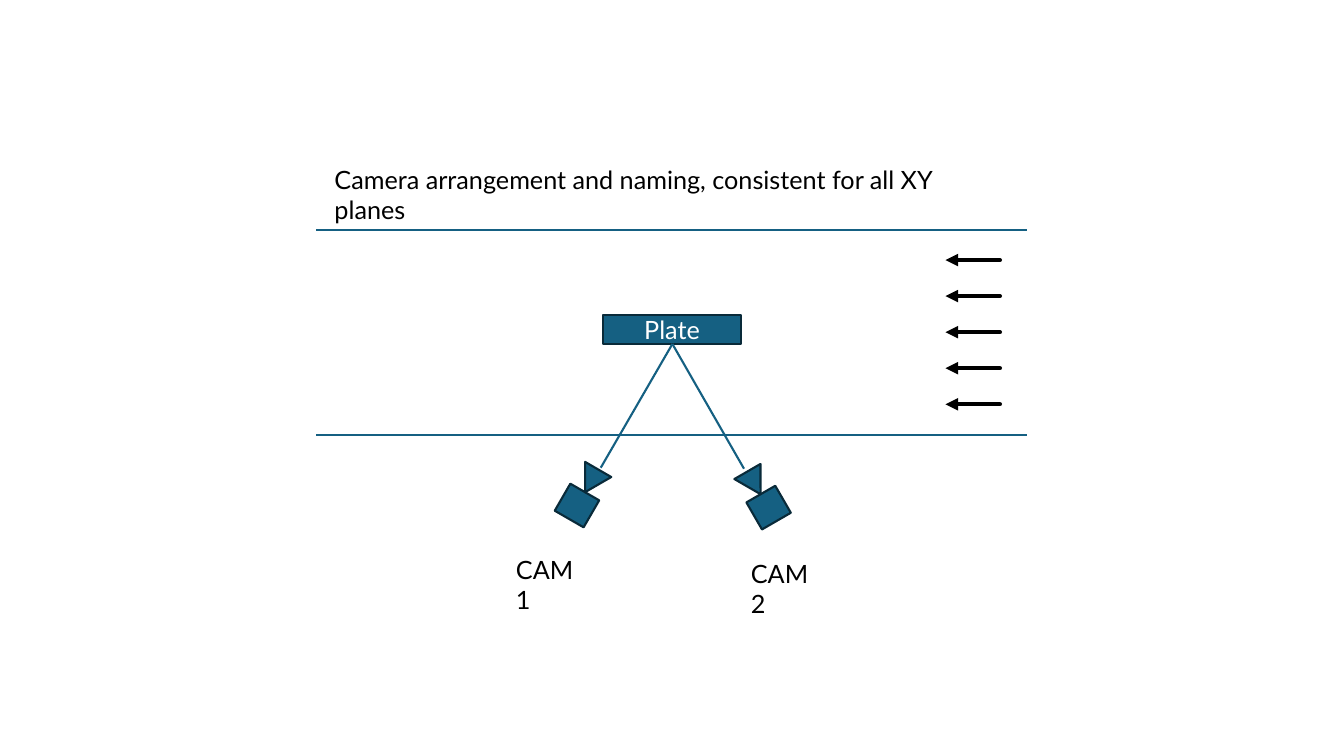
from dataclasses import dataclass

from lxml import etree
from pptx import Presentation
from pptx.dml.color import RGBColor
from pptx.enum.shapes import MSO_CONNECTOR, MSO_SHAPE
from pptx.enum.text import MSO_ANCHOR, MSO_AUTO_SIZE, PP_ALIGN
from pptx.oxml.ns import qn
from pptx.util import Inches, Pt

STRAIGHT = MSO_CONNECTOR.STRAIGHT
RECTANGLE = MSO_SHAPE.RECTANGLE
TRIANGLE = MSO_SHAPE.ISOSCELES_TRIANGLE
MIDDLE = MSO_ANCHOR.MIDDLE
FIT_TEXT = MSO_AUTO_SIZE.SHAPE_TO_FIT_TEXT
CENTER = PP_ALIGN.CENTER

COLUMNS = 100
ROWS = 100


@dataclass(frozen=True)
class Theme:
    font: str = "Lato"
    text_size: float = 18
    fill: RGBColor = RGBColor(0x15, 0x60, 0x82)
    outline: RGBColor = RGBColor(0x09, 0x2A, 0x39)
    ink: RGBColor = RGBColor(0, 0, 0)
    light: RGBColor = RGBColor(255, 255, 255)
    thin: float = 1.5
    thick: float = 3


class Diagram:
    def __init__(self, presentation, theme):
        self.theme = theme
        self.slide = presentation.slides.add_slide(presentation.slide_layouts[6])
        self.column = presentation.slide_width / COLUMNS
        self.row = presentation.slide_height / ROWS

    def place(self, x, y):
        return round(x * self.column), round(y * self.row)

    def line(self, start, end):
        connector = self.slide.shapes.add_connector(
            STRAIGHT, *self.place(*start), *self.place(*end))
        connector.line.color.rgb = self.theme.fill
        connector.line.width = Pt(self.theme.thin)
        etree.SubElement(connector._element.spPr, qn("a:effectLst"))
        return connector

    def arrow(self, tip, end):
        connector = self.line(tip, end)
        connector.line.color.rgb = self.theme.ink
        connector.line.width = Pt(self.theme.thick)
        outline = connector._element.spPr.find(qn("a:ln"))
        outline.set("cap", "rnd")
        etree.SubElement(outline, qn("a:headEnd"), type="triangle")

    def block(self, kind, center, size, rotation=0):
        width, height = size
        corner = center[0] - width / 2, center[1] - height / 2
        shape = self.slide.shapes.add_shape(
            kind, *self.place(*corner), *self.place(*size))
        shape.shadow.inherit = False
        shape.rotation = rotation
        shape.fill.solid()
        shape.fill.fore_color.rgb = self.theme.fill
        shape.line.color.rgb = self.theme.outline
        shape.line.width = Pt(self.theme.thin)
        return shape

    def add_text(self, paragraph, text, color):
        run = paragraph.add_run()
        run.text = text
        run.font.name = self.theme.font
        run.font.size = Pt(self.theme.text_size)
        run.font.color.rgb = color

    def named_block(self, text, center, size):
        frame = self.block(RECTANGLE, center, size).text_frame
        frame.vertical_anchor = MIDDLE
        frame.paragraphs[0].alignment = CENTER
        self.add_text(frame.paragraphs[0], text, self.theme.light)

    def label(self, text, corner, size, wrap=True):
        box = self.slide.shapes.add_textbox(*self.place(*corner), *self.place(*size))
        frame = box.text_frame
        frame.word_wrap = wrap
        frame.auto_size = FIT_TEXT
        self.add_text(frame.paragraphs[0], text, self.theme.ink)

    def camera(self, side, drop):
        axis, tilt = 50.06, -30 * side
        self.block(RECTANGLE, (axis + 7.13 * side, 66.87 + drop), (2.48, 4.13), tilt)
        self.block(TRIANGLE, (axis + 6.04 * side, 63.6 + drop), (2.25, 3.47), 180 + tilt)
        self.line((50.03, 45.5), (50.03 + 5.33 * side, 61.87 + drop / 2))


def main():
    presentation = Presentation()
    presentation.slide_width = Inches(13.33)
    presentation.slide_height = Inches(7.5)
    diagram = Diagram(presentation, Theme())

    for wall in (30.4, 57.6):
        diagram.line((23.55, wall), (76.43, wall))
    diagram.named_block("Plate", (50, 43.55), (10.28, 3.87))

    for side, drop in ((-1, 0), (1, 0.27)):
        diagram.camera(side, drop)
    for text, corner in (("CAM 1", (37.65, 72.67)), ("CAM 2", (55.13, 73.2))):
        diagram.label(text, corner, (6.83, 5.33))

    for index in range(5):
        height = 34.4 + 4.77 * index
        diagram.arrow((70.35, height), (74.4, height))
    diagram.label("Camera arrangement and naming, consistent for all XY planes",
                  (24.15, 21.07), (51.68, 5.33), wrap=False)

    presentation.save("out.pptx")


if __name__ == "__main__":
    main()
